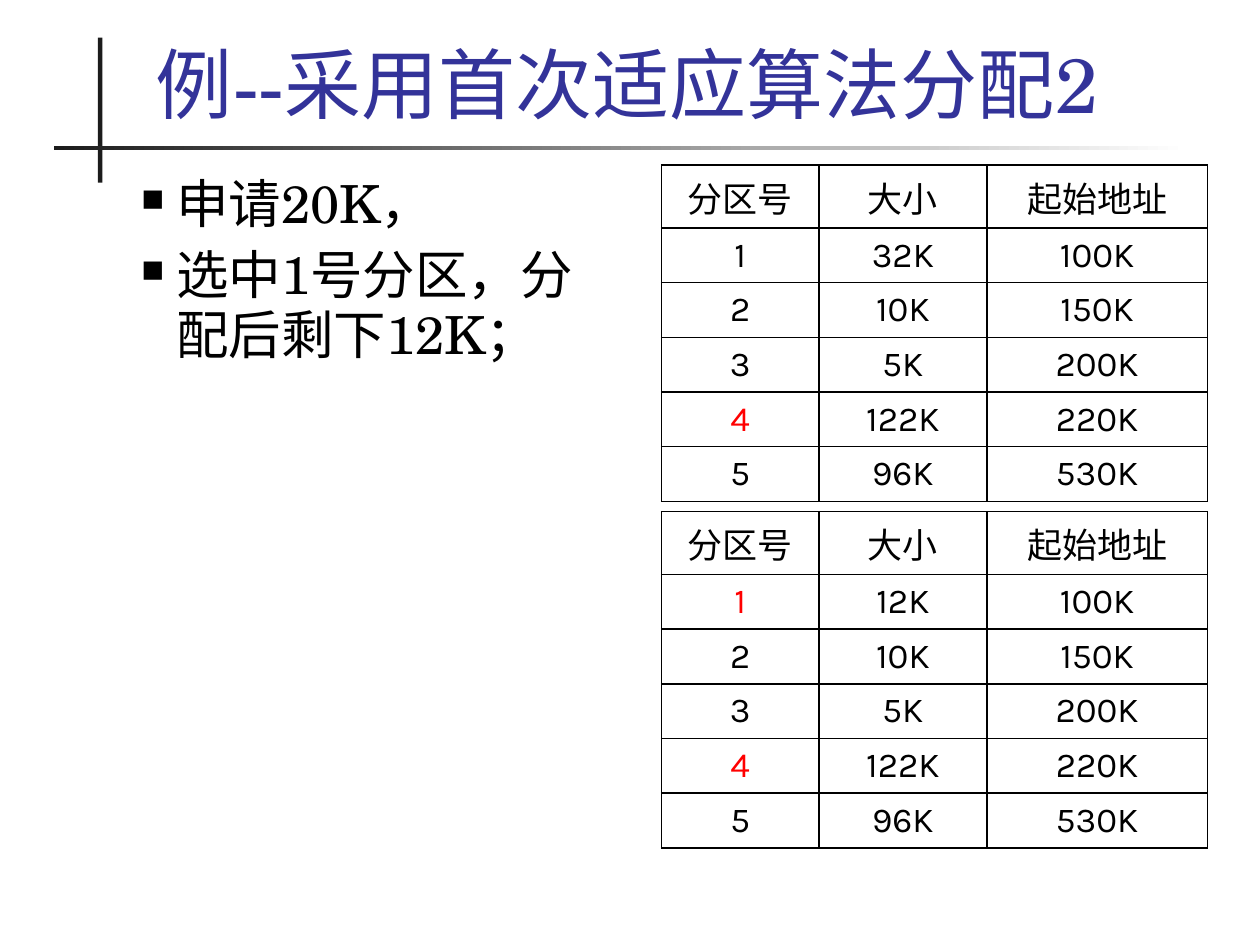
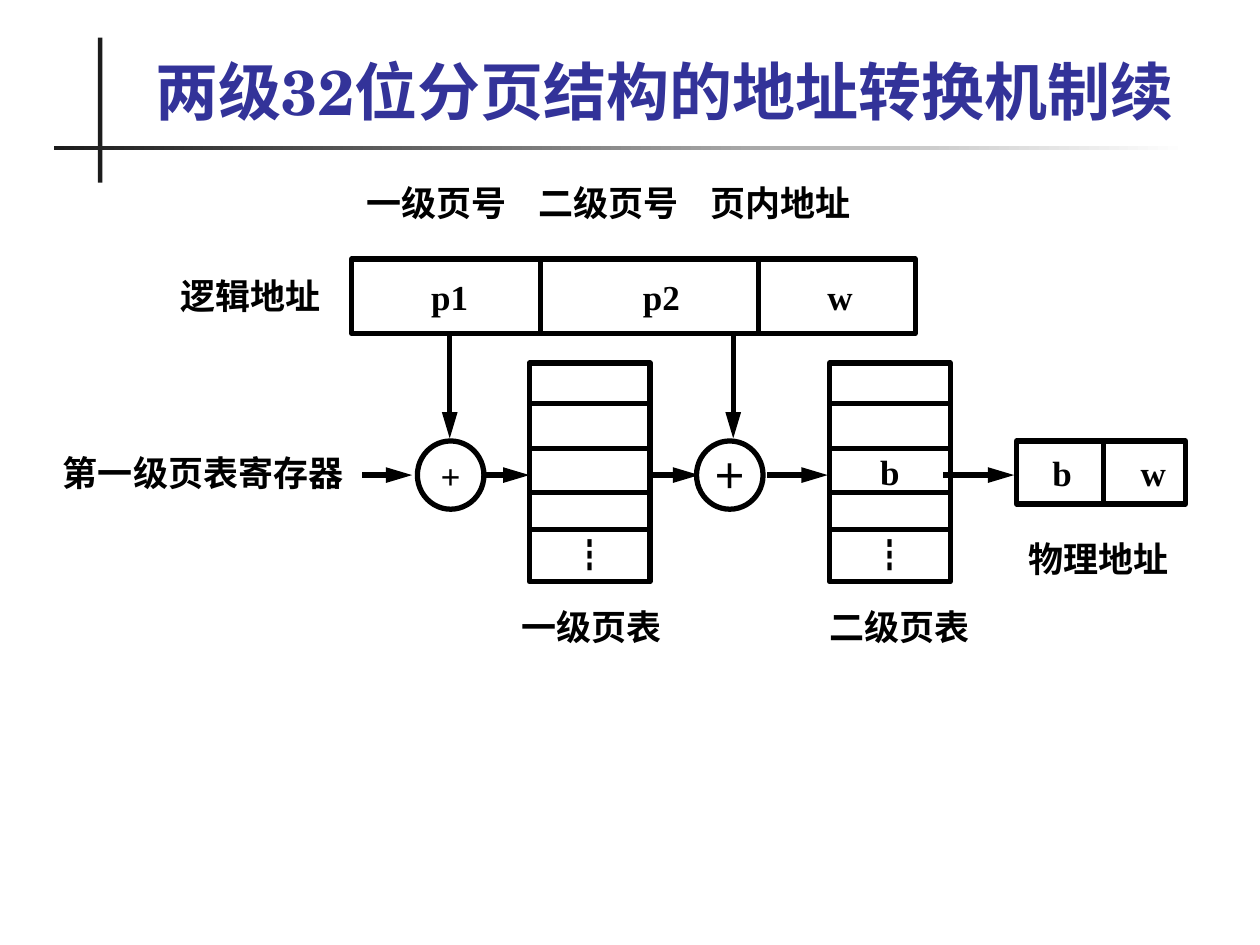
from pptx import Presentation
from pptx.dml.color import RGBColor as Rgb
from pptx.enum.shapes import MSO_CONNECTOR as Conn, MSO_SHAPE as Kind
from pptx.enum.text import MSO_ANCHOR as Anchor, PP_ALIGN as Align
from pptx.oxml.ns import qn
from pptx.util import Pt
from lxml.etree import SubElement as Sub

HUES = {"ink": "000000", "paper": "FFFFFF", "rule": "1C1C1C",
        "title": "333399", "mark": "FF0000"}
SERIF, ROMAN, SANS, CJK = "TeX Gyre Schola", "Times New Roman", "Karla", "Noto Sans CJK SC"
THICK = 3


def hue(key):
    return Rgb.from_string(HUES[key])


def style(para, size, face, key="ink", bold=False):
    font = para.font
    font.size, font.name, font.bold = Pt(size), face, bold
    font.color.rgb = hue(key)
    Sub(para._p.pPr.find(qn("a:defRPr")), qn("a:ea"), typeface=CJK)


def area(slide, box, anchor=Anchor.TOP, pads=(0, 0)):
    frame = slide.shapes.add_textbox(*map(Pt, box)).text_frame
    frame.word_wrap = True
    frame.vertical_anchor = anchor
    frame.margin_left = frame.margin_right = Pt(pads[0])
    frame.margin_top = frame.margin_bottom = Pt(pads[1])
    return frame


def label(slide, x, y, text, wide=160):
    para = area(slide, (x, y, wide, 30)).paragraphs[0]
    para.text = text
    style(para, 20, ROMAN, bold=True)


def center(slide, x, y, text, face=ROMAN):
    para = area(slide, (x - 20, y - 15, 40, 30), Anchor.MIDDLE).paragraphs[0]
    para.text, para.alignment = text, Align.CENTER
    style(para, 20, face, bold=True)


def shape(slide, box, kind=Kind.RECTANGLE, fill="paper", edge=True):
    item = slide.shapes.add_shape(kind, *map(Pt, box))
    item.shadow.inherit = False
    item.fill.solid()
    item.fill.fore_color.rgb = hue(fill)
    if edge:
        item.line.color.rgb = hue("ink")
        item.line.width = Pt(THICK)
    else:
        item.line.fill.background()
    return item


def line(slide, x1, y1, x2, y2, arrow=False):
    link = slide.shapes.add_connector(Conn.STRAIGHT, *map(Pt, (x1, y1, x2, y2)))
    link.line.color.rgb = hue("ink")
    link.line.width = Pt(THICK)
    if arrow:
        Sub(link.line._get_or_add_ln(), qn("a:tailEnd"), type="triangle", w="med", len="lg")
    Sub(link._element.spPr, qn("a:effectLst"))


def base(deck, title, size, bold=False):
    slide = deck.slides.add_slide(deck.slide_layouts[6])
    shape(slide, (56, 21.5, 2.5, 83), fill="rule", edge=False)
    fill = shape(slide, (31, 83.5, 648, 2.25), edge=False).fill
    fill.gradient()
    fill.gradient_angle = 0
    for stop, spot, key in zip(fill.gradient_stops, (0, 1), ("rule", "paper")):
        stop.position, stop.color.rgb = spot, hue(key)
    para = area(slide, (82, 18, 618.5, 59), Anchor.BOTTOM, (7.2, 3.6)).paragraphs[0]
    para.text = title
    style(para, size, SERIF, "title", bold)
    return slide


def points(slide, box, items):
    frame = area(slide, box, pads=(7.2, 3.6))
    for rank, text in enumerate(items):
        para = frame.add_paragraph() if rank else frame.paragraphs[0]
        para.text, para.line_spacing = text, 0.95
        if rank:
            para.space_before = Pt(6)
        props = para._p.get_or_add_pPr()
        props.set("marL", str(Pt(20)))
        props.set("indent", str(Pt(-20)))
        Sub(Sub(props, qn("a:buClr")), qn("a:srgbClr"), val=HUES["ink"])
        Sub(props, qn("a:buSzPct"), val="60000")
        Sub(props, qn("a:buChar"), char="■")
        style(para, 30, SERIF)


def border(cell):
    props = cell._tc.get_or_add_tcPr()
    for side in ("lnL", "lnR", "lnT", "lnB"):
        edge = Sub(props, qn("a:" + side), w=str(Pt(1)))
        Sub(Sub(edge, qn("a:solidFill")), qn("a:srgbClr"), val=HUES["ink"])


def grid(slide, box, rows, marks):
    table = slide.shapes.add_table(len(rows), len(rows[0]), *map(Pt, box)).table
    table.first_row = table.horz_banding = False
    for col, wide in zip(table.columns, (90, 96, 126)):
        col.width = Pt(wide)
    for i, row in enumerate(rows):
        table.rows[i].height = Pt(31.2 if i else 36)
        for j, text in enumerate(row):
            cell = table.cell(i, j)
            border(cell)
            cell.fill.solid()
            cell.fill.fore_color.rgb = hue("paper")
            cell.vertical_anchor = Anchor.MIDDLE
            para = cell.text_frame.paragraphs[0]
            para.text, para.alignment = text, Align.CENTER
            style(para, 20, SANS, "mark" if j == 0 and text in marks else "ink")


def bar(slide, box, cuts, names):
    x, y, wide, high = box
    shape(slide, box)
    for cut in cuts:
        line(slide, x + cut, y, x + cut, y + high)
    for text, mid in names:
        center(slide, x + mid, y + high / 2, text)


def pages(slide, box, entry=None):
    x, y, wide, high = box
    shape(slide, box)
    for cut in (23, 49, 74, 95):
        line(slide, x, y + cut, x + wide, y + cut)
    if entry:
        center(slide, x + wide / 2, y + 62, entry)
    center(slide, x + wide / 2, y + 109.5, "┇", CJK)


def adder(slide, box, sign):
    x, y, wide, high = box
    shape(slide, box, Kind.OVAL)
    center(slide, x + wide / 2, y + high / 2, sign)


def diagram(slide, x, y):
    for i, text in enumerate(("一级页号", "二级页号", "页内地址")):
        label(slide, x + 178.5 + 98.3 * i, y, text, 90)
    for dx, dy, text in ((72, 53, "逻辑地址"), (5, 154, "第一级页表寄存器"),
                         (267, 242, "一级页表"), (443, 242, "二级页表"),
                         (556.5, 203, "物理地址")):
        label(slide, x + dx, y + dy, text, 20 * len(text) + 6)
    bar(slide, (x + 170, y + 44, 322, 42.5), (108, 232.5),
        (("p1", 56), ("p2", 177), ("w", 279)))
    bar(slide, (x + 550, y + 148, 96.5, 36), (49.5,), (("b", 26), ("w", 78)))
    for dx, entry in ((271.5, None), (443, "b")):
        pages(slide, (x + dx, y + 103.5, 69, 125), entry)
    for dx, sign in ((207.5, "+"), (367, "＋")):
        adder(slide, (x + dx, y + 148, 38, 39), sign)
    for left, right in ((176, 204.5), (245, 271.5), (342, 368.5), (407.5, 442), (508, 548.5)):
        line(slide, x + left, y + 167.5, x + right, y + 167.5, True)
    for dx in (226, 388):
        line(slide, x + dx, y + 86.5, x + dx, y + 146.5, True)


def main():
    deck = Presentation()
    deck.slide_width, deck.slide_height = Pt(720), Pt(540)

    slide = base(deck, "例--采用首次适应算法分配2", 44)
    points(slide, (73.5, 97, 286.5, 385), ("申请20K，", "选中1号分区，分配后剩下12K；"))
    head = ("分区号", "大小", "起始地址")
    rest = [("2", "10K", "150K"), ("3", "5K", "200K"), ("4", "122K", "220K"), ("5", "96K", "530K")]
    for top, size, marks in ((94.3, "32K", "4"), (292.3, "12K", "14")):
        grid(slide, (378, top, 312, 192), [head, ("1", size, "100K")] + rest, marks)

    slide = base(deck, "两级32位分页结构的地址转换机制续", 36, True)
    diagram(slide, 31, 104)
    deck.save("out.pptx")


if __name__ == "__main__":
    main()
